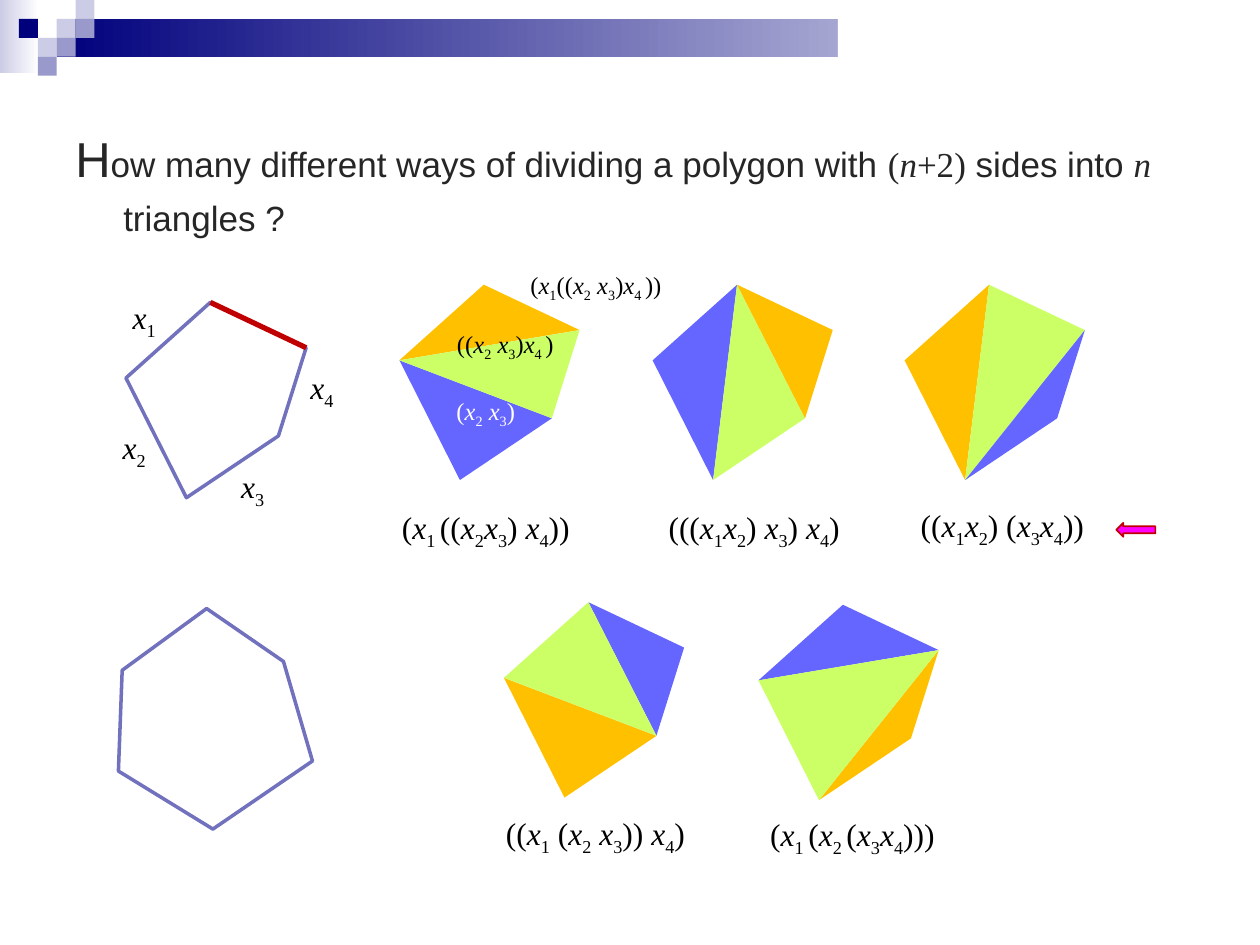
from dataclasses import dataclass
from itertools import groupby

from lxml.etree import SubElement
from pptx import Presentation
from pptx.dml.color import RGBColor as Rgb
from pptx.enum.shapes import MSO_CONNECTOR as Conn, MSO_SHAPE as Kind
from pptx.enum.text import PP_ALIGN as Align
from pptx.oxml.ns import qn
from pptx.util import Inches, Pt


@dataclass(frozen=True)
class Theme:
    navy: str = "00007D"
    mid: str = "9999CC"
    pale: str = "CCCCE6"
    white: str = "FFFFFF"
    black: str = "000000"
    ink: str = "262626"
    edge: str = "7171BD"
    red: str = "C00000"
    pink: str = "FF00FF"
    gold: str = "FFC000"
    blue: str = "6565FF"
    lime: str = "CCFF66"
    sans: str = "Arial"
    serif: str = "Times New Roman"
    first: int = 28
    body: int = 20
    math: int = 18
    small: int = 14


@dataclass(frozen=True)
class Cut:
    """A pentagon cut into triangles, each a colour and three corners."""
    x: float
    y: float
    tris: tuple


@dataclass(frozen=True)
class Label:
    text: str
    x: float
    y: float
    w: float
    h: float = 0.4
    size: int = Theme.math
    color: str = Theme.black


T = Theme()
# Corners measured from the top one: top, left, bottom, low right, right
CORNERS = ((0, 0), (-0.67, 0.6), (-0.19, 1.55), (0.54, 1.06), (0.76, 0.36))
HEXAGON = [(1.64, 4.83), (0.97, 5.32), (0.94, 6.12),
           (1.69, 6.58), (2.48, 6.04), (2.25, 5.25)]
UNIT = 0.15
SQUARES = ((3, 1, T.pale), (4, 0, T.pale), (4, 1, T.mid), (2, 2, T.pale),
           (1, 1, T.navy), (3, 2, T.mid), (2, 3, T.mid))

CUTS = (
    Cut(3.84, 2.26, ((T.gold, 0, 1, 4), (T.blue, 1, 2, 3), (T.lime, 4, 1, 3))),
    Cut(5.85, 2.26, ((T.blue, 0, 1, 2), (T.lime, 0, 2, 3), (T.gold, 0, 3, 4))),
    Cut(7.85, 2.26, ((T.gold, 2, 0, 1), (T.lime, 2, 4, 0), (T.blue, 2, 4, 3))),
    Cut(4.67, 4.78, ((T.gold, 3, 1, 2), (T.blue, 0, 3, 4), (T.lime, 0, 1, 3))),
    Cut(6.69, 4.8, ((T.blue, 0, 1, 4), (T.gold, 2, 4, 3), (T.lime, 4, 1, 2))),
)

# Letters are italic, digits are subscripts, "_" is a subscript-sized gap
LABELS = (
    Label("(x2 x3)", 3.5, 3.09, 0.71, 0.34, T.small, T.white),
    Label("((x2 x3)x4_)", 3.5, 2.56, 1.02, 0.34, T.small),
    Label("(x1((x2 x3)x4_))", 4.06, 2.09, 1.34, 0.34, T.small),
    Label("x2", 0.83, 3.35, 0.47),
    Label("x1", 0.91, 2.32, 0.47),
    Label("x4", 2.32, 2.87, 0.47),
    Label("x3", 1.77, 3.66, 0.47),
    Label("(x1_((x2x3) x4))", 3.03, 3.98, 1.65),
    Label("(((x1x2) x3) x4)", 5.16, 3.98, 1.65),
    Label("((x1x2) (x3x4))", 7.13, 3.97, 1.65),
    Label("((x1 (x2 x3)) x4)", 3.9, 6.41, 1.65),
    Label("(x1_(x2_(x3x4)))", 5.94, 6.42, 1.65),
)


def color(code: str) -> Rgb:
    return Rgb.from_string(code)


def block(slide, x: float, y: float, w: float, h: float, fill: str,
          end: str = "", kind=Kind.RECTANGLE):
    """A preset shape without outline; a second colour makes a gradient."""
    shape = slide.shapes.add_shape(
        kind, Inches(x), Inches(y), Inches(w), Inches(h))
    shape.shadow.inherit = False
    shape.line.fill.background()
    if end:
        shape.fill.gradient()
        shape.fill.gradient_angle = 0
        for stop, code in zip(shape.fill.gradient_stops, (fill, end)):
            stop.color.rgb = color(code)
    else:
        shape.fill.solid()
        shape.fill.fore_color.rgb = color(fill)
    return shape


def corners(x: float, y: float) -> list:
    return [(x + dx, y + dy) for dx, dy in CORNERS]


def polygon(slide, points: list, fill: str = "", line: str = "") -> None:
    start, *rest = [(Inches(x), Inches(y)) for x, y in points]
    pen = slide.shapes.build_freeform(*start)
    pen.add_line_segments(rest, close=True)
    shape = pen.convert_to_shape()
    shape.shadow.inherit = False
    if fill:
        shape.fill.solid()
        shape.fill.fore_color.rgb = color(fill)
    else:
        shape.fill.background()
    if line:
        shape.line.color.rgb = color(line)
        shape.line.width = Pt(2)
    else:
        shape.line.fill.background()


def textbox(slide, x: float, y: float, w: float, h: float):
    box = slide.shapes.add_textbox(Inches(x), Inches(y), Inches(w), Inches(h))
    box.text_frame.word_wrap = True
    return box.text_frame


def add_run(para, text: str, face: str, size: int, code: str,
            italic: bool = False):
    run = para.add_run()
    run.text = text
    font = run.font
    font.name, font.size, font.italic = face, Pt(size), italic
    font.color.rgb = color(code)
    return run


def style(char: str) -> str:
    if char.isalpha():
        return "italic"
    return "sub" if char.isdigit() or char == "_" else "plain"


def formula(slide, item: Label) -> None:
    para = textbox(slide, item.x, item.y, item.w, item.h).paragraphs[0]
    para.alignment = Align.CENTER
    for kind, chars in groupby(item.text, style):
        text = "".join(chars).replace("_", " ")
        run = add_run(para, text, T.serif, item.size, item.color,
                      kind == "italic")
        if kind == "sub":
            run.font._element.set("baseline", "-25000")


def question(slide) -> None:
    frame = textbox(slide, 0.5, 0.84, 9.22, 1.17)
    frame.margin_top = Inches(0.09)
    para = frame.paragraphs[0]
    para.line_spacing = 1.2
    props = para._p.get_or_add_pPr()
    props.set("marL", str(Inches(0.38)))
    props.set("indent", str(Inches(-0.38)))
    add_run(para, "H", T.sans, T.first, T.ink)
    for text, face, italic in (
            ("ow many different ways of dividing a polygon with ", T.sans, False),
            ("(", T.serif, False), ("n", T.serif, True),
            ("+2)", T.serif, False), (" sides into ", T.sans, False),
            ("n", T.serif, True), (" triangles ?", T.sans, False)):
        add_run(para, text, face, T.body, T.ink, italic)


def main() -> None:
    deck = Presentation()
    deck.slide_width, deck.slide_height = Inches(10), Inches(7.5)
    slide = deck.slides.add_slide(deck.slide_layouts[6])

    # Banner with its squares, cut off on the right
    block(slide, 0, 0, 0.31, 0.58, T.pale, T.white)
    block(slide, 0.45, 0.15, 9.55, 0.3, T.navy, T.white)
    for col, row, fill in SQUARES:
        block(slide, col * UNIT, row * UNIT, UNIT, UNIT, fill)
    block(slide, 8.38, 0.05, 1.62, 0.91, T.white)
    block(slide, 6.65, 0.09, 1.73, 0.78, T.white)

    question(slide)

    # Divided pentagons
    for cut in CUTS:
        points = corners(cut.x, cut.y)
        for fill, *ids in cut.tris:
            polygon(slide, [points[i] for i in ids], fill=fill)

    # Outlined pentagon with its red side, and hexagon
    points = corners(1.67, 2.4)
    polygon(slide, points, line=T.edge)
    ends = [Inches(v) for i in (0, 4) for v in points[i]]
    side = slide.shapes.add_connector(Conn.STRAIGHT, *ends)
    side.line.color.rgb = color(T.red)
    side.line.width = Pt(3)
    SubElement(side._element.spPr, qn("a:effectLst"))
    polygon(slide, HEXAGON, line=T.edge)

    # Formulas and pointer
    for item in LABELS:
        formula(slide, item)
    arrow = block(slide, 8.86, 4.15, 0.31, 0.11, T.pink, kind=Kind.LEFT_ARROW)
    arrow.line.color.rgb = color(T.red)
    arrow.line.width = Pt(1)

    deck.save("out.pptx")


if __name__ == "__main__":
    main()
